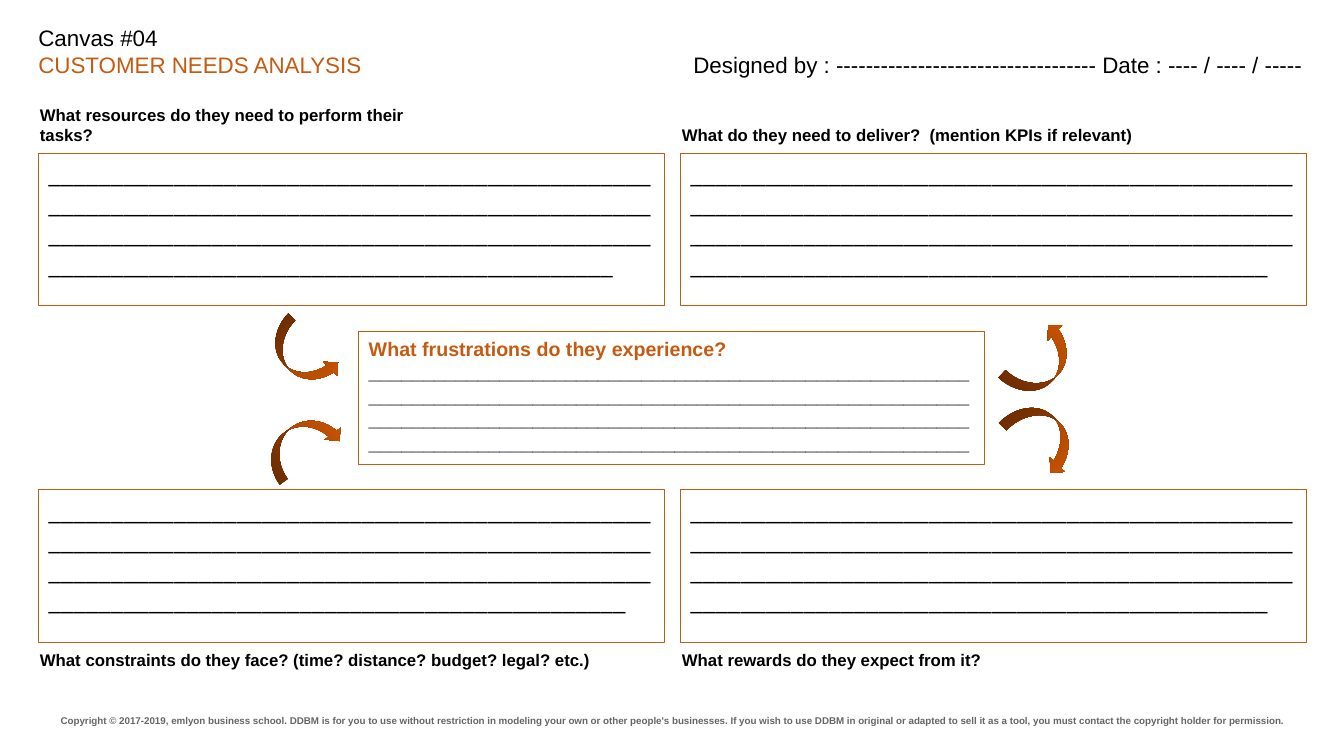
from lxml import etree
from pptx import Presentation
from pptx.dml.color import RGBColor
from pptx.enum.shapes import MSO_SHAPE
from pptx.enum.text import MSO_ANCHOR, MSO_AUTO_SIZE, PP_ALIGN
from pptx.oxml import parse_xml
from pptx.oxml.ns import nsdecls
from pptx.util import Pt

RECTANGLE, CURVED_ARROW = MSO_SHAPE.RECTANGLE, MSO_SHAPE.CURVED_RIGHT_ARROW
TOP, MIDDLE = MSO_ANCHOR.TOP, MSO_ANCHOR.MIDDLE
LEFT, CENTER, JUSTIFY = PP_ALIGN.LEFT, PP_ALIGN.CENTER, PP_ALIGN.JUSTIFY
NO_FIT = MSO_AUTO_SIZE.NONE

# Content
BLACK, ORANGE, GRAY = "000000", "C55A11", "666666"
TITLE = [("Canvas #04", BLACK), ("CUSTOMER NEEDS ANALYSIS", ORANGE)]
SIGNATURE = "Designed by : " + "-" * 35 + " Date : ---- / ---- / -----"
FRUSTRATIONS = "What frustrations do they experience?"
COPYRIGHT = (
    "Copyright © 2017-2019, emlyon business school. DDBM is for you to use "
    "without restriction in modeling your own or other people's businesses. "
    "If you wish to use DDBM in original or adapted to sell it as a tool, "
    "you must contact the copyright holder for permission."
)
# question, column, row, label top, label width, underscores in the answer
QUESTIONS = [
    ("What resources do they need to perform their tasks?", 0, 0, 67.7, 287.3, 189),
    ("What do they need to deliver?  (mention KPIs if relevant)", 1, 0, 82.1, 381.6, 190),
    ("What constraints do they face? (time? distance? budget? legal? etc.)",
     0, 1, 457.2, 436.3, 190),
    ("What rewards do they expect from it?", 1, 1, 457.2, 436.3, 190),
]
# left, top, width, height, rotation, mirrored
ARROWS = [
    (202.3, 225.4, 28.1, 56.9, 314.6, False),
    (729.4, 229, 29.5, 59, 223.5, False),
    (730.1, 282.2, 30.2, 59, 313.9, True),
    (201.6, 287.3, 28.1, 59.8, 233.8, True),
]
ARROW_STOPS = [(0, "783201"), (50, "AF4802"), (100, "D25703")]

# Layout
COLUMNS, ROWS = (27.4, 486), (109.4, 349.9)
BOX_WIDTH, BOX_HEIGHT = 447.1, 108.7
LABEL_SHIFT = 6


def color(value):
    return RGBColor.from_string(value)


def set_frame(shape, inset, anchor=TOP):
    frame = shape.text_frame
    frame.word_wrap = True
    frame.auto_size = NO_FIT
    frame.vertical_anchor = anchor
    frame.margin_left = frame.margin_right = Pt(7.2)
    frame.margin_top = frame.margin_bottom = Pt(inset)
    return frame


def add_span(para, text, size, ink, font="Arial", bold=False):
    span = para.add_run()
    span.text = text
    span.font.size = Pt(size)
    span.font.name = font
    span.font.bold = bold
    span.font.color.rgb = color(ink)


def add_text(page, place, text, size, ink=BLACK, bold=False, inset=7.2, anchor=TOP):
    box = page.shapes.add_textbox(*map(Pt, place))
    para = set_frame(box, inset, anchor).paragraphs[0]
    add_span(para, text, size, ink, bold=bold)
    return para


def add_answer_box(page, *place):
    box = page.shapes.add_shape(RECTANGLE, *map(Pt, place))
    box.shadow.inherit = False
    box.fill.background()
    box.line.color.rgb = color(ORANGE)
    box.line.width = Pt(0.75)
    return set_frame(box, 3.6)


def add_arrow(page, left, top, width, height, rotation, mirrored):
    arrow = page.shapes.add_shape(CURVED_ARROW, Pt(left), Pt(top), Pt(width), Pt(height))
    arrow.shadow.inherit = False
    arrow.rotation = rotation
    arrow.line.fill.background()
    properties = arrow.element.spPr
    if mirrored:
        properties.get_or_add_xfrm().set("flipH", "1")
    # Three-stop gradient from tail to head
    gradient = parse_xml(
        f'<a:gradFill {nsdecls("a")} rotWithShape="1"><a:gsLst/>'
        '<a:lin ang="5400000" scaled="0"/></a:gradFill>'
    )
    for position, ink in ARROW_STOPS:
        stop = etree.SubElement(gradient[0], gradient[0].tag.replace("gsLst", "gs"))
        stop.set("pos", str(position * 1000))
        etree.SubElement(stop, stop.tag.replace("}gs", "}srgbClr")).set("val", ink)
    properties.prstGeom.addnext(gradient)


def main():
    deck = Presentation()
    deck.slide_width, deck.slide_height = Pt(960), Pt(540)
    page = deck.slides.add_slide(deck.slide_layouts[5])

    # Header and copyright line
    title = page.shapes.title
    title.left, title.top, title.width, title.height = map(Pt, (20.2, 10.1, 460, 31.7))
    para = set_frame(title, 7.2).paragraphs[0]
    para.alignment = LEFT
    for index, (text, ink) in enumerate(TITLE):
        if index:
            para.add_line_break()
        add_span(para, text, 16, ink)
    para = add_text(page, (488.2, 10.1, 460, 31.7), SIGNATURE, 16)
    para.line_spacing = 2.0
    para = add_text(page, (22.3, 503, 915.8, 22), COPYRIGHT, 7, GRAY, True, 3.6, MIDDLE)
    para.alignment = CENTER
    para.line_spacing = 1.2

    # Four questions with ruled answer boxes
    for question, column, row, top, width, count in QUESTIONS:
        left = COLUMNS[column]
        height = 35.3 if (column, row) == (1, 0) else 49.7
        add_text(page, (left - LABEL_SHIFT, top, width, height), question, 12, bold=True)
        frame = add_answer_box(page, left, ROWS[row], BOX_WIDTH, BOX_HEIGHT)
        para = frame.paragraphs[0]
        para.alignment = JUSTIFY
        add_span(para, "_" * count, 18, BLACK, "Calibri")

    # Central frustrations box
    frame = add_answer_box(page, 256.3, 236.9, BOX_WIDTH, 95)
    lines = [(FRUSTRATIONS, ORANGE), ("_" * 220, BLACK)]
    for index, (text, ink) in enumerate(lines):
        para = frame.add_paragraph() if index else frame.paragraphs[0]
        para.alignment = LEFT
        add_span(para, text, 14, ink, bold=True)

    # Arrows between the boxes
    for arrow in ARROWS:
        add_arrow(page, *arrow)

    deck.save("out.pptx")


if __name__ == "__main__":
    main()
